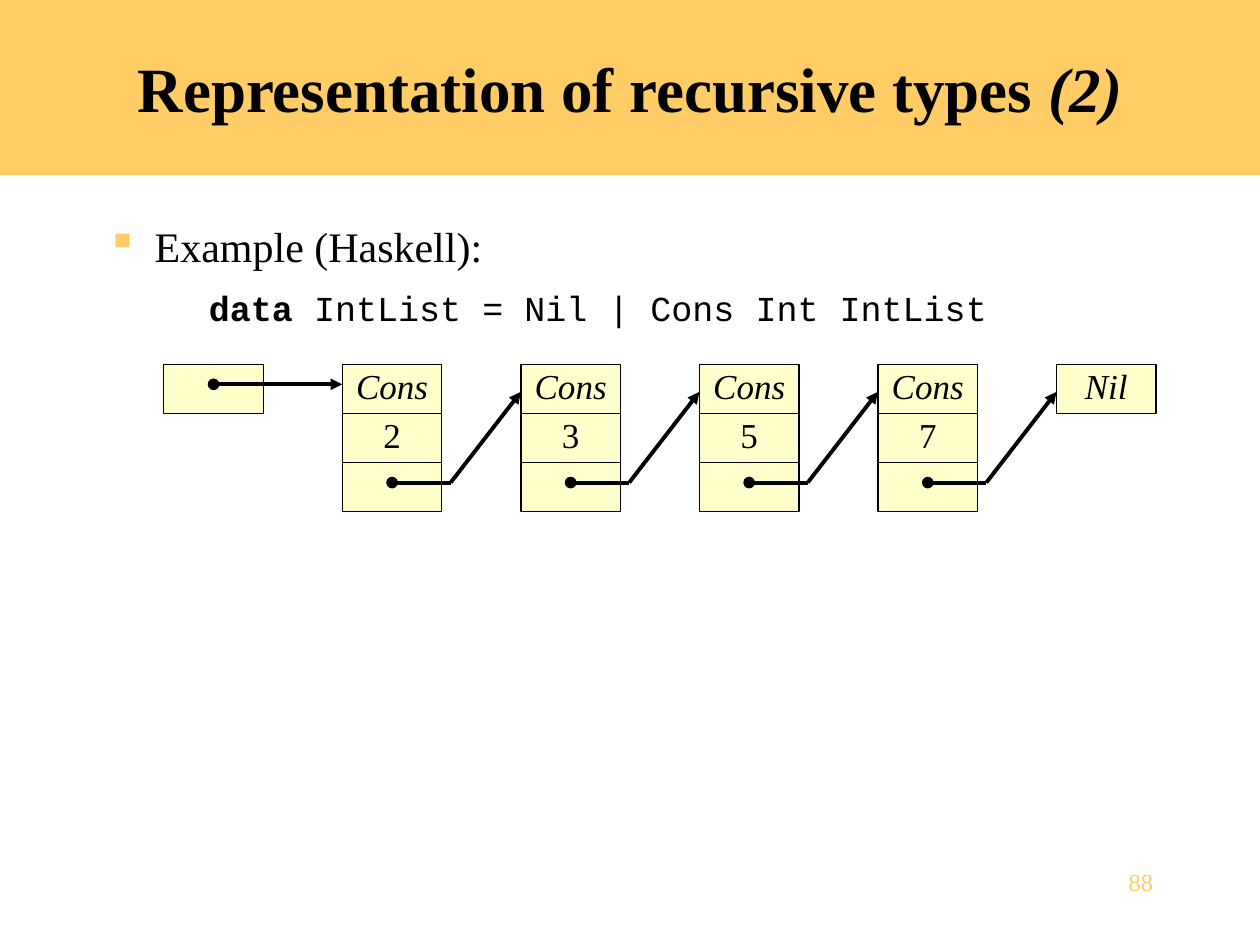
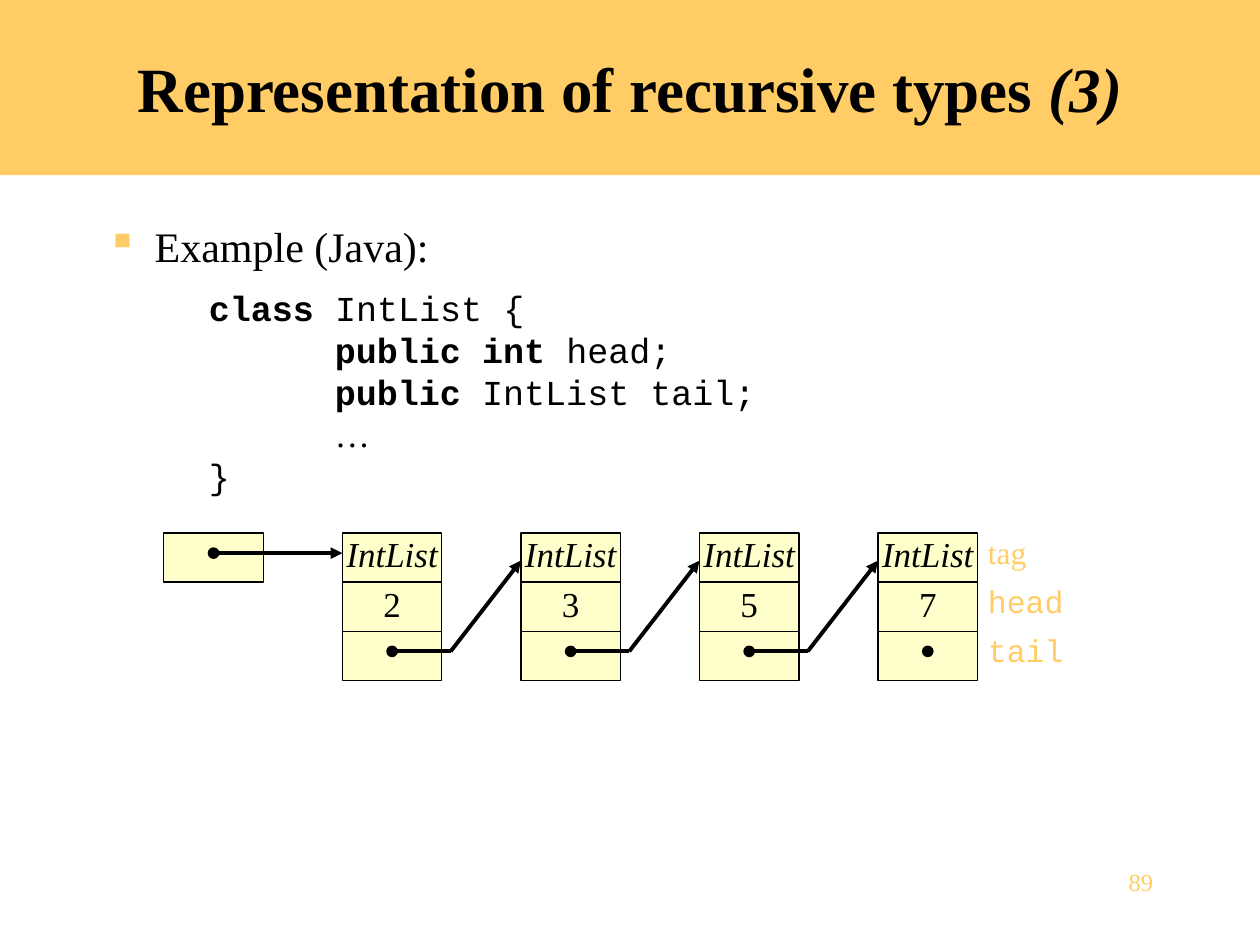
from lxml import etree
from pptx import Presentation, util as u
from pptx.dml.color import RGBColor
from pptx.enum import shapes, text
from pptx.oxml.ns import qn

COLOURS = {"band": "FFCC66", "cell": "FFFFCC", "ink": "000000", "paper": "FFFFFF"}
SERIF, MONO = "Times New Roman", "Courier New"
CELL_W, CELL_H = 0.79, 0.39
ROOT_X, NODE_STEP = 1.3, 1.417
DOT_Y = 0.16    # height of a pointer's dot below the top of its cell
BEND_X = 0.86   # where a pointer turns, from the left of its node
ENTRY_Y = 0.22  # where a pointer enters the next node, below its top


class Deck:
    def __init__(self):
        self.prs = Presentation()
        self.prs.slide_width, self.prs.slide_height = u.Inches(10), u.Inches(7.5)
        self.s = None

    def colour(self, name):
        return RGBColor.from_string(COLOURS[name])

    def new_slide(self, part, number):
        """Start a slide with its title band and page number."""
        self.s = self.prs.slides.add_slide(self.prs.slide_layouts[6])
        self.s.background.fill.solid()
        self.s.background.fill.fore_color.rgb = self.colour("paper")
        band = self.box(0, 0, 10, 1.39, "band")
        tf = band.text_frame
        tf.word_wrap = True
        tf.vertical_anchor = text.MSO_ANCHOR.MIDDLE
        p = tf.paragraphs[0]
        p.alignment = text.PP_ALIGN.CENTER
        self.run(p, "Representation of recursive types ", 36, bold=True)
        self.run(p, f"({part})", 36, bold=True, italic=True)
        self.label(7.17, 6.83, 2.08, 0.5, str(number), 14, "band",
                   align=text.PP_ALIGN.RIGHT, margins=(0.1, 0.05))

    def run(self, p, words, size, colour="ink", font=SERIF, bold=False, italic=False):
        r = p.add_run()
        r.text = words
        r.font.size, r.font.name = u.Pt(size), font
        r.font.bold, r.font.italic = bold, italic
        r.font.color.rgb = self.colour(colour)

    def box(self, x, y, w, h, fill, outlined=False):
        sp = self.s.shapes.add_shape(shapes.MSO_SHAPE.RECTANGLE, u.Inches(x),
                                     u.Inches(y), u.Inches(w), u.Inches(h))
        sp.shadow.inherit = False
        sp.fill.solid()
        sp.fill.fore_color.rgb = self.colour(fill)
        if outlined:
            sp.line.color.rgb, sp.line.width = self.colour("ink"), u.Pt(0.75)
        else:
            sp.line.fill.background()
        return sp

    def text_box(self, x, y, w, h, margins):
        sp = self.s.shapes.add_textbox(u.Inches(x), u.Inches(y), u.Inches(w), u.Inches(h))
        tf = sp.text_frame
        tf.word_wrap = True
        tf.margin_left = tf.margin_right = u.Inches(margins[0])
        tf.margin_top = tf.margin_bottom = u.Inches(margins[1])
        return tf

    def label(self, x, y, w, h, words, size, colour="ink", font=SERIF, italic=False,
              align=text.PP_ALIGN.LEFT, margins=(0, 0)):
        p = self.text_box(x, y, w, h, margins).paragraphs[0]
        p.alignment = align
        self.run(p, words, size, colour, font, italic=italic)

    def example(self, language, code):
        """Write the bullet and the code; a code line is (indent, [(words, bold, font)])."""
        tf = self.text_box(0.75, 1.7, 8.5, 5.08, (0.1, 0.05))
        p = tf.paragraphs[0]
        pPr = p._p.get_or_add_pPr()
        pPr.set("marL", str(u.Inches(0.38)))
        pPr.set("indent", str(u.Inches(-0.38)))
        clr = etree.SubElement(pPr, qn("a:buClr"))
        etree.SubElement(clr, qn("a:srgbClr"), val=COLOURS["band"])
        etree.SubElement(pPr, qn("a:buChar"), char="▪")
        self.run(p, f"Example ({language}):", 24)
        for i, (indent, pieces) in enumerate(code):
            p = tf.add_paragraph()
            p._p.get_or_add_pPr().set("marL", str(u.Inches(0.81 + indent)))
            p.space_before = u.Pt(0 if i else 9)
            for words, bold, font in pieces:
                self.run(p, words, 20, font=font, bold=bold)

    def line(self, x1, y1, x2, y2, dot=False, arrow=False, target=None):
        c = self.s.shapes.add_connector(shapes.MSO_CONNECTOR.STRAIGHT, u.Inches(x1),
                                        u.Inches(y1), u.Inches(x2), u.Inches(y2))
        c.line.color.rgb, c.line.width = self.colour("ink"), u.Pt(2.25)
        ln = c.line._get_or_add_ln()
        if dot:
            etree.SubElement(ln, qn("a:headEnd"), type="oval")
        if arrow:
            etree.SubElement(ln, qn("a:tailEnd"), type="triangle")
        etree.SubElement(c._element.spPr, qn("a:effectLst"))

    def cell(self, x, y, words="", italic=False):
        self.box(x, y, CELL_W, CELL_H, "cell", outlined=True)
        if words:
            self.label(x, y, CELL_W, 0.33, words, 20, italic=italic,
                       align=text.PP_ALIGN.CENTER)

    def linked_list(self, y, tag, values, end_tag=None):
        """Draw the root pointer and a node per value; end_tag adds a closing cell."""
        xs = [ROOT_X + NODE_STEP * i for i in range(1, len(values) + 2)]
        dot_y = y + 2 * CELL_H + DOT_Y
        for i, (x, value) in enumerate(zip(xs, values)):
            self.cell(x, y, tag, italic=True)
            self.cell(x, y + CELL_H, str(value))
            self.cell(x, y + 2 * CELL_H)
            dot_x = x + CELL_W / 2
            if i < len(values) - 1 or end_tag:
                self.line(dot_x, dot_y, x + BEND_X, dot_y, dot=True)
                self.line(x + BEND_X, dot_y, xs[i + 1], y + ENTRY_Y, arrow=True)
            else:
                self.line(dot_x, dot_y, dot_x + 0.04, dot_y, dot=True)
        if end_tag:
            self.cell(xs[-1], y, end_tag, italic=True)
        self.cell(ROOT_X, y)
        self.line(ROOT_X + CELL_W / 2, y + DOT_Y, xs[0], y + DOT_Y, dot=True, arrow=True)

    def field_names(self, y, names):
        for i, (name, font) in enumerate(names):
            self.label(7.84, y + i * CELL_H, 0.71, 0.3, name, 18, "band", font)


def main():
    deck = Deck()
    values = [2, 3, 5, 7]

    deck.new_slide(2, 88)
    deck.example("Haskell", [
        (0, [("data", True, MONO), (" IntList = Nil | Cons Int IntList", False, MONO)])])
    deck.linked_list(2.89, "Cons", values, end_tag="Nil")

    deck.new_slide(3, 89)
    deck.example("Java", [
        (0, [("class", True, MONO), (" IntList {", False, MONO)]),
        (1, [("public int", True, MONO), (" head;", False, MONO)]),
        (1, [("public", True, MONO), (" IntList tail;", False, MONO)]),
        (1, [("…", False, SERIF)]),
        (0, [("}", False, MONO)])])
    deck.linked_list(4.23, "IntList", values)
    deck.field_names(4.23, [("tag", SERIF), ("head", MONO), ("tail", MONO)])

    deck.prs.save("out.pptx")


if __name__ == "__main__":
    main()
